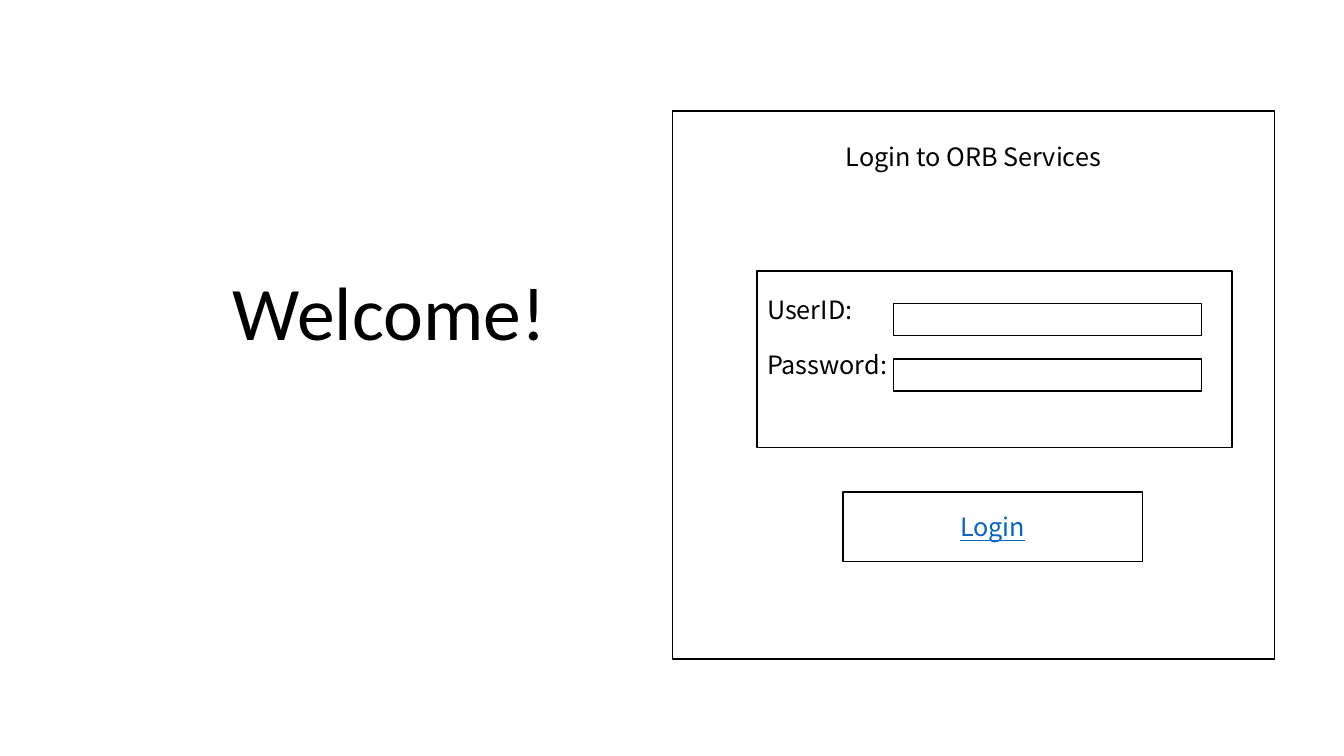
from pptx import Presentation
from pptx.dml.color import RGBColor
from pptx.enum.shapes import MSO_SHAPE as Shape
from pptx.enum.text import MSO_ANCHOR as Anchor, PP_ALIGN as Align
from pptx.util import Inches, Pt

TITLE_ONLY = 5


def color(value):
    """Return the colour for a hex string."""
    return RGBColor.from_string(value)


def apply(target, values):
    """Set each attribute in a dict of format values."""
    for name, value in values.items():
        setattr(target, name, value)


class LoginSlide:
    """Holds the style and the current slide."""

    ink, paper, link = "000000", "FFFFFF", "0563C1"
    title_font = {"name": "Calibri", "size": Pt(54), "bold": False}
    body_font = {"name": "Noto Sans CJK SC", "size": Pt(18)}

    def __init__(self, presentation):
        """Add a title-only slide."""
        layout = presentation.slide_layouts[TITLE_ONLY]
        self.slide = presentation.slides.add_slide(layout)

    def set_text(self, shape, lines, font, ink, align, gap=0, **frame):
        """Fill in one paragraph per line, with a gap between them."""
        text_frame = shape.text_frame
        apply(text_frame, {"word_wrap": True, **frame})
        text_frame.text = "\n".join(lines)
        for index, paragraph in enumerate(text_frame.paragraphs):
            apply(paragraph, {"alignment": align,
                              "space_before": Pt(gap if index else 0)})
            run = paragraph.runs[0]
            apply(run.font, font)
            run.font.color.rgb = color(ink)

    def title(self, text, left, top, width, height):
        """Place and format the title placeholder."""
        title = self.slide.shapes.title
        apply(title, {"left": Inches(left), "top": Inches(top),
                      "width": Inches(width), "height": Inches(height)})
        self.set_text(title, [text], self.title_font, self.ink, Align.LEFT,
                      vertical_anchor=Anchor.BOTTOM)
        title.text_frame.paragraphs[0].line_spacing = 0.9

    def box(self, left, top, width, height):
        """Draw an outlined rectangle."""
        box = self.slide.shapes.add_shape(
            Shape.RECTANGLE, Inches(left), Inches(top),
            Inches(width), Inches(height))
        box.shadow.inherit = False
        box.fill.solid()
        box.fill.fore_color.rgb = color(self.paper)
        box.line.color.rgb = color(self.ink)
        box.line.width = Pt(1)
        return box

    def panel(self, lines, bounds, inset, align, gap=0):
        """Draw a box with text starting at an inset from its top."""
        self.set_text(self.box(*bounds), lines, self.body_font, self.ink,
                      align, gap, vertical_anchor=Anchor.TOP,
                      margin_top=Inches(inset))

    def button(self, text, *bounds):
        """Draw a box with centred, underlined link-coloured text."""
        font = {**self.body_font, "underline": True}
        self.set_text(self.box(*bounds), [text], font, self.link,
                      Align.CENTER, vertical_anchor=Anchor.MIDDLE)


presentation = Presentation()
apply(presentation, {"slide_width": Inches(13.33),
                     "slide_height": Inches(7.5)})

login = LoginSlide(presentation)
login.title("Welcome!", 2.21, 2.6, 3.8, 0.99)
login.panel(["Login to ORB Services"], (6.67, 1.1, 5.97, 5.44),
            inset=0.3, align=Align.CENTER)
login.panel(["UserID:", "Password:"], (7.51, 2.69, 4.71, 1.75),
            inset=0.23, align=Align.LEFT, gap=17.5)
for field_top in (3.01, 3.56):
    login.box(8.86, field_top, 3.06, 0.32)
login.button("Login", 8.36, 4.88, 2.97, 0.69)

presentation.save("out.pptx")
